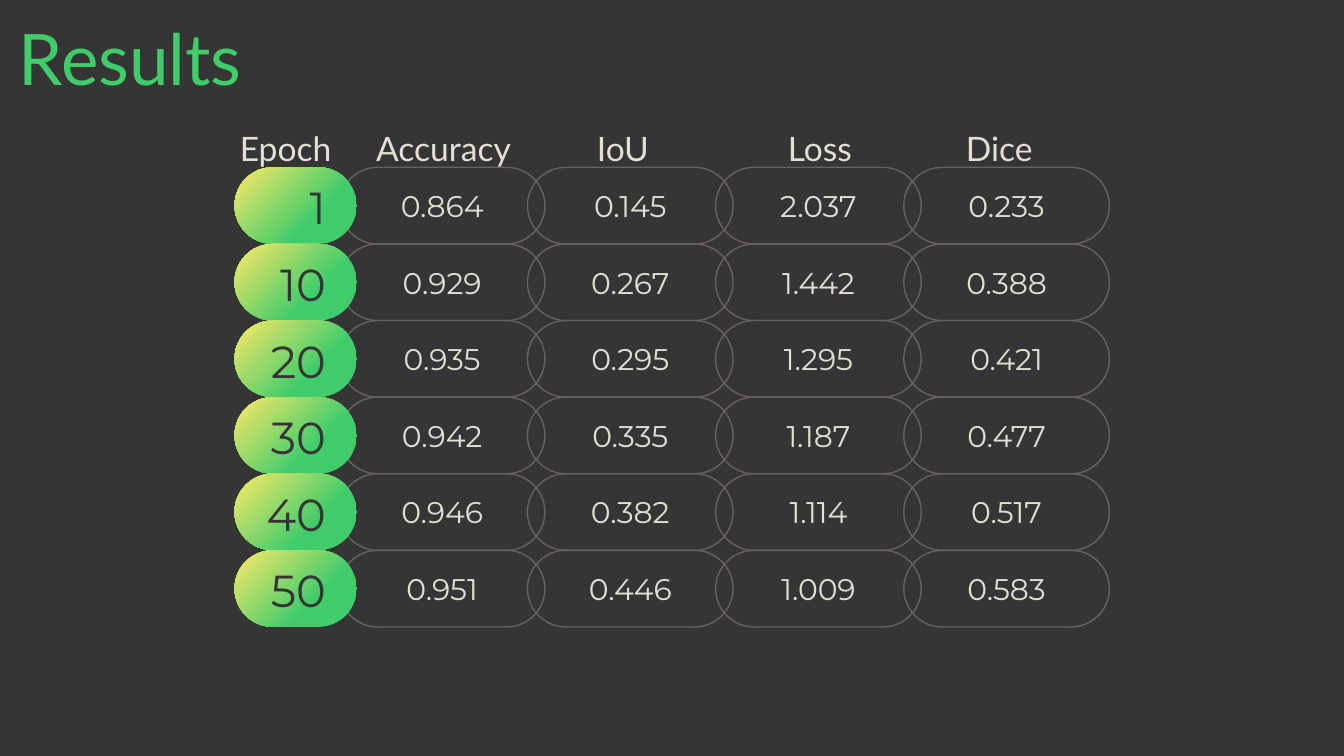
from copy import deepcopy
from dataclasses import dataclass

from pptx import Presentation
from pptx.dml.color import RGBColor
from pptx.enum.shapes import MSO_SHAPE
from pptx.enum.text import MSO_ANCHOR, MSO_AUTO_SIZE, PP_ALIGN
from pptx.oxml.ns import qn
from pptx.util import Inches, Pt

ROUNDED = MSO_SHAPE.ROUNDED_RECTANGLE
TOP, MIDDLE = MSO_ANCHOR.TOP, MSO_ANCHOR.MIDDLE
LEFT, CENTER, RIGHT = PP_ALIGN.LEFT, PP_ALIGN.CENTER, PP_ALIGN.RIGHT
GROW, FIXED = MSO_AUTO_SIZE.SHAPE_TO_FIT_TEXT, MSO_AUTO_SIZE.NONE


@dataclass(frozen=True)
class Style:
    font: str
    size: int
    color: RGBColor


@dataclass(frozen=True)
class Theme:
    dark = RGBColor.from_string("353535")
    light = RGBColor.from_string("E3DFD6")
    outline = RGBColor.from_string("69615E")
    green = RGBColor.from_string("41CC6B")
    yellow = RGBColor.from_string("FFEB67")
    title = Style("Lato", 38, green)
    header = Style("Lato", 18, light)
    value = Style("Montserrat", 16, light)
    epoch = Style("Montserrat", 24, dark)


THEME = Theme()

SLIDE_WIDTH = 10
SLIDE_HEIGHT = SLIDE_WIDTH * 9 / 16

METRICS = ["Accuracy", "IoU", "Loss", "Dice"]
RESULTS = {
    "1": ["0.864", "0.145", "2.037", "0.233"],
    "10": ["0.929", "0.267", "1.442", "0.388"],
    "20": ["0.935", "0.295", "1.295", "0.421"],
    "30": ["0.942", "0.335", "1.187", "0.477"],
    "40": ["0.946", "0.382", "1.114", "0.517"],
    "50": ["0.951", "0.446", "1.009", "0.583"],
}

PILL_THICKNESS = 0.57
VALUE_PILL_LENGTH = 1.53
EPOCH_PILL_LENGTH = 0.91
EPOCH_X = 2.2
HEADER_Y = 1.1
COLUMNS = [3.29 + 1.4 * index for index in range(len(METRICS))]
ROWS = [1.53 + 0.57 * index for index in range(len(RESULTS))]


def write(shape, text, style, align, anchor, inset, left_inset=None):
    frame = shape.text_frame
    frame.text = text
    frame.word_wrap = True
    frame.vertical_anchor = anchor
    frame.margin_left = Inches(inset if left_inset is None else left_inset)
    frame.margin_right = frame.margin_top = frame.margin_bottom = Inches(inset)
    paragraph = frame.paragraphs[0]
    paragraph.alignment = align
    paragraph.font.name = style.font
    paragraph.font.size = Pt(style.size)
    paragraph.font.color.rgb = style.color


def add_title(slide, text):
    title = slide.shapes.title
    title.left, title.top = Inches(0.08), Inches(0.05)
    title.width, title.height = Inches(3.51), Inches(0.77)
    write(title, text, THEME.title, LEFT, TOP, 0.06)
    title.text_frame.auto_size = GROW


def add_label(slide, text, center_x, center_y, width, height, style,
              align=CENTER, inset=0.07, left_inset=None):
    label = slide.shapes.add_textbox(
        Inches(center_x - width / 2), Inches(center_y - height / 2),
        Inches(width), Inches(height))
    write(label, text, style, align, MIDDLE, inset, left_inset)
    label.text_frame.auto_size = FIXED


def add_pill(slide, center_x, center_y, length, rotation):
    pill = slide.shapes.add_shape(
        ROUNDED,
        Inches(center_x - PILL_THICKNESS / 2), Inches(center_y - length / 2),
        Inches(PILL_THICKNESS), Inches(length))
    pill.rotation = rotation
    pill.adjustments[0] = 0.5
    pill.shadow.inherit = False
    return pill


def add_value_pill(slide, center_x, center_y):
    pill = add_pill(slide, center_x, center_y, VALUE_PILL_LENGTH, 270)
    pill.fill.background()
    pill.line.color.rgb = THEME.outline
    pill.line.width = Pt(0.75)


def add_epoch_pill(slide, center_y):
    pill = add_pill(slide, EPOCH_X, center_y, EPOCH_PILL_LENGTH, 90)
    pill.line.fill.background()
    pill.fill.gradient()
    pill.fill.gradient_angle = 225
    first_stop = pill.element.spPr.find(".//" + qn("a:gs"))
    first_stop.addprevious(deepcopy(first_stop))
    stops = [(0, THEME.green), (0.35, THEME.green), (1, THEME.yellow)]
    for stop, (position, color) in zip(pill.fill.gradient_stops, stops):
        stop.position = position
        stop.color.rgb = color


def add_headers(slide):
    add_label(slide, "Epoch", EPOCH_X - 0.01, HEADER_Y, 0.91, 0.28,
              THEME.header, inset=0.13, left_inset=0)
    for index, (metric, center_x) in enumerate(zip(METRICS, COLUMNS)):
        add_label(slide, metric, center_x + 0.01, HEADER_Y, 1.52, 0.28,
                  THEME.header, inset=0.13, left_inset=0 if index % 2 else 0.13)


def add_result_row(slide, epoch, values, center_y):
    for center_x in COLUMNS:
        add_value_pill(slide, center_x, center_y)
    add_epoch_pill(slide, center_y)
    add_label(slide, epoch, 2.12, center_y + 0.01, 0.75, 0.45, THEME.epoch, RIGHT)
    for value, center_x in zip(values, COLUMNS):
        add_label(slide, value, center_x, center_y, 1.25, 0.45, THEME.value)


def main():
    presentation = Presentation()
    presentation.slide_width = Inches(SLIDE_WIDTH)
    presentation.slide_height = Inches(SLIDE_HEIGHT)
    slide = presentation.slides.add_slide(presentation.slide_layouts[5])
    slide.background.fill.solid()
    slide.background.fill.fore_color.rgb = THEME.dark

    add_title(slide, "Results")
    add_headers(slide)
    for (epoch, values), center_y in zip(RESULTS.items(), ROWS):
        add_result_row(slide, epoch, values, center_y)

    presentation.save("out.pptx")


if __name__ == "__main__":
    main()
